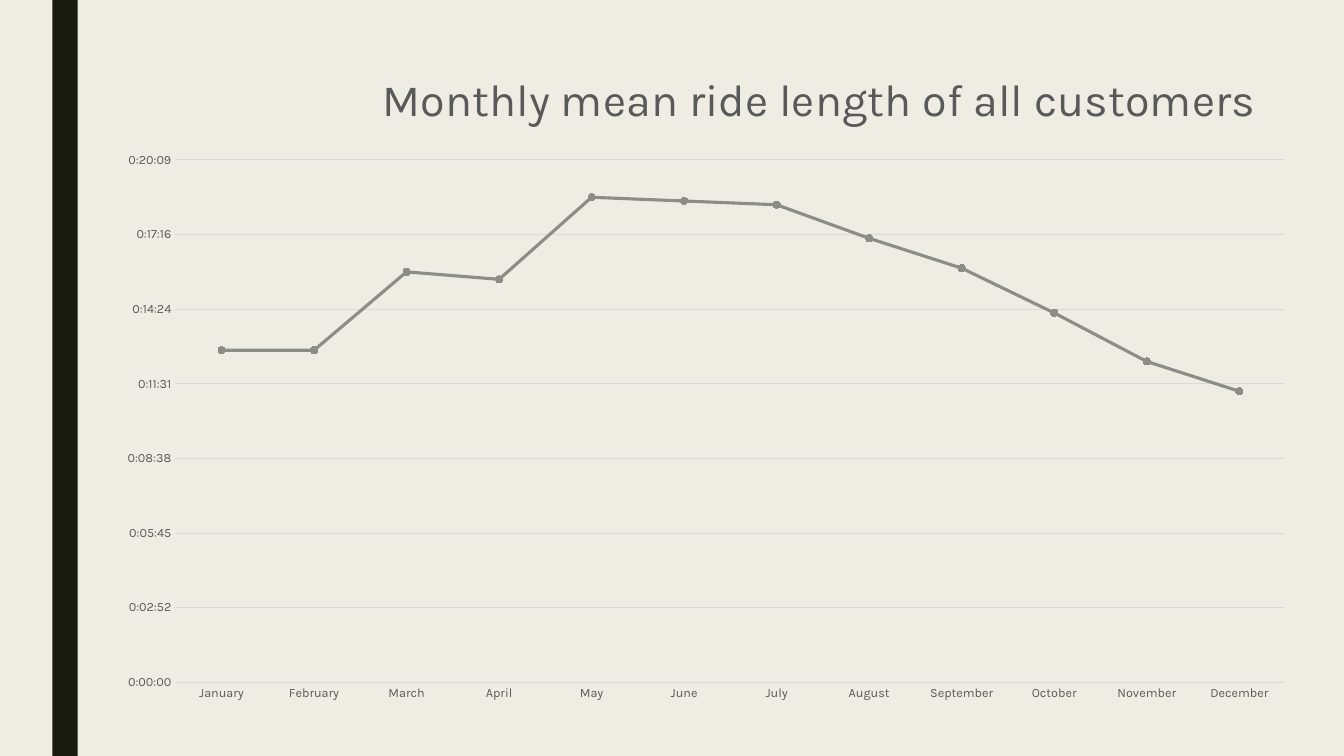
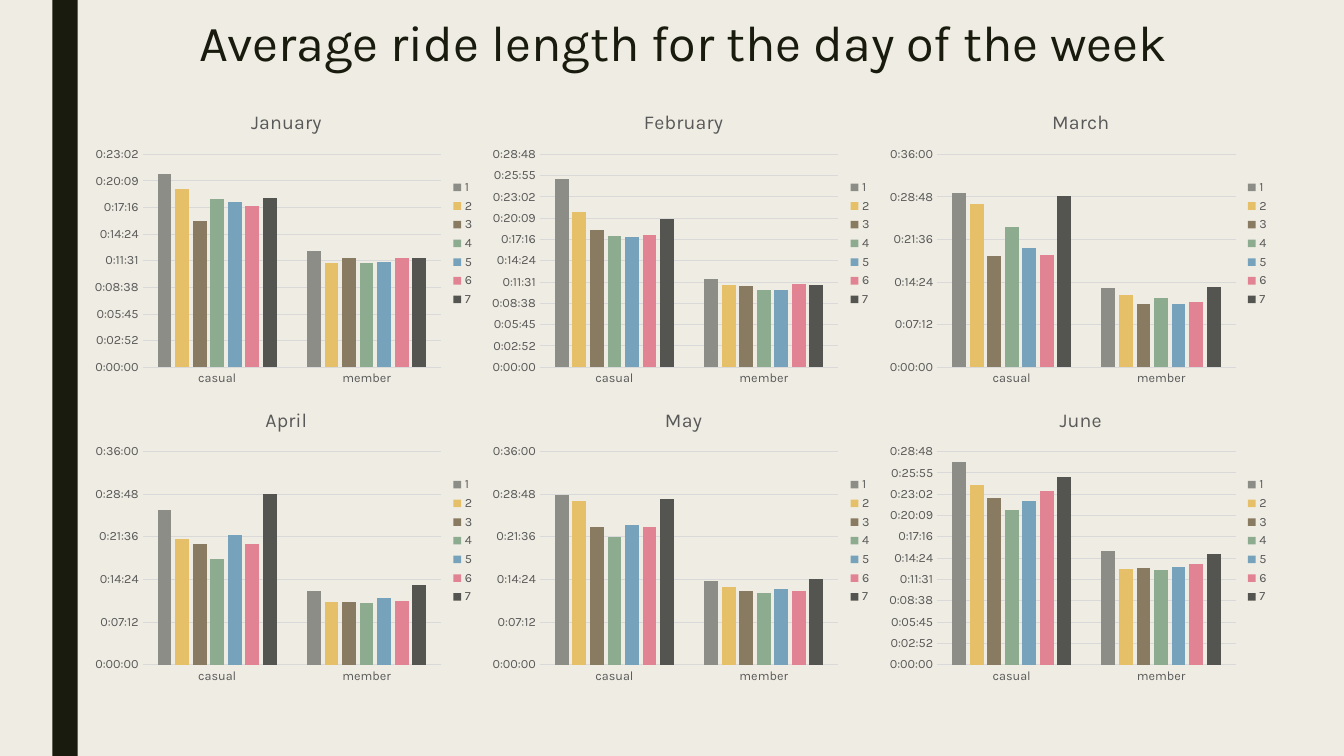
import lxml.etree
import pptx
import pptx.chart.data
import pptx.dml.color
import pptx.enum.chart
import pptx.enum.shapes
import pptx.enum.text
import pptx.oxml.ns
import pptx.util

Inches = pptx.util.Inches
Pt = pptx.util.Pt
qn = pptx.oxml.ns.qn
ChartType = pptx.enum.chart.XL_CHART_TYPE
TickMark = pptx.enum.chart.XL_TICK_MARK

FONT = "Karla"
PAPER = "EFEDE3"
INK = "191B0E"
LABEL = "595959"
GRID = "D9D9D9"
DAY_COLOURS = ["8C8D86", "E6C069", "897B61", "8DAB8E", "77A2BB", "E28394", "545550"]

AXIS_LABELS = {"name": FONT, "size": Pt(9)}
MONTH_TITLE = {"name": FONT, "size": Pt(14), "bold": False}
YEAR_TITLE = {"name": FONT, "size": Pt(32), "bold": False}
SLIDE_TITLE = {"name": FONT, "size": Pt(36), "bold": False}
TITLE_FRAME = {
    "word_wrap": True,
    "auto_size": pptx.enum.text.MSO_AUTO_SIZE.NONE,
    "vertical_anchor": pptx.enum.text.MSO_ANCHOR.TOP,
}
TITLE_PARAGRAPH = {"alignment": pptx.enum.text.PP_ALIGN.CENTER, "line_spacing": 0.89}
CATEGORY_AXIS = {"major_tick_mark": TickMark.NONE, "minor_tick_mark": TickMark.NONE}
VALUE_AXIS = CATEGORY_AXIS | {"minimum_scale": 0, "has_major_gridlines": True}
COLUMN_PLOT = {"gap_width": 219, "overlap": -27, "vary_by_categories": False}

YEAR_MONTHS = ["January", "February", "March", "April", "May", "June", "July",
               "August", "September", "October", "November", "December"]
YEAR_MEANS = [0.0089, 0.0089, 0.011, 0.0108, 0.013, 0.0129,
              0.0128, 0.0119, 0.0111, 0.0099, 0.0086, 0.0078]

RIDERS = ["casual", "member"]
MONTHS = [
    ("January", 0.016, 0.002,
     [0.0145, 0.0134, 0.011, 0.0126, 0.0124, 0.0121, 0.0127],
     [0.0087, 0.0078, 0.0082, 0.0078, 0.0079, 0.0082, 0.0082]),
    ("February", 0.02, 0.002,
     [0.0177, 0.0146, 0.0129, 0.0123, 0.0122, 0.0124, 0.0139],
     [0.0083, 0.0077, 0.0076, 0.0073, 0.0073, 0.0078, 0.0077]),
    ("March", 0.025, 0.005,
     [0.0205, 0.0191, 0.0131, 0.0164, 0.014, 0.0132, 0.0201],
     [0.0093, 0.0085, 0.0074, 0.0081, 0.0074, 0.0076, 0.0094]),
    ("April", 0.025, 0.005,
     [0.0181, 0.0147, 0.0142, 0.0124, 0.0152, 0.0141, 0.02],
     [0.0086, 0.0074, 0.0074, 0.0072, 0.0078, 0.0075, 0.0093]),
    ("May", 0.025, 0.005,
     [0.0199, 0.0192, 0.0161, 0.015, 0.0164, 0.0161, 0.0194],
     [0.0098, 0.0091, 0.0086, 0.0084, 0.0089, 0.0086, 0.0101]),
    ("June", 0.02, 0.002,
     [0.019, 0.0169, 0.0156, 0.0145, 0.0154, 0.0163, 0.0176],
     [0.0107, 0.009, 0.0091, 0.0089, 0.0092, 0.0094, 0.0104]),
]


def apply_format(target, values):
    for attribute, value in values.items():
        setattr(target, attribute, value)


def rgb(hex_colour):
    return pptx.dml.color.RGBColor.from_string(hex_colour)


def format_font(font, values, colour):
    apply_format(font, values)
    font.color.rgb = rgb(colour)


def format_fill(fill, colour):
    fill.solid()
    fill.fore_color.rgb = rgb(colour)


def format_line(line, colour, weight):
    format_fill(line.fill, colour)
    line.width = Pt(weight)


def set_layout(parent, position, inner=False):
    layout = parent.find(qn("c:layout"))
    if layout is None:
        layout = lxml.etree.Element(qn("c:layout"))
        parent.insert(0, layout)
    manual = lxml.etree.SubElement(layout, qn("c:manualLayout"))
    settings = {"layoutTarget": "inner"} if inner else {}
    settings |= {"xMode": "edge", "yMode": "edge"}
    settings |= dict(zip("xywh", position))
    for tag, value in settings.items():
        lxml.etree.SubElement(manual, qn(f"c:{tag}")).set("val", str(value))


def add_ride_chart(slide, box, kind, categories, series, title, title_format,
                   maximum, step, plot_box):
    rides = pptx.chart.data.CategoryChartData(number_format="h:mm:ss;@")
    rides.categories = categories
    for name, values in series:
        rides.add_series(name, values)
    frame = slide.shapes.add_chart(kind, *map(Inches, box), rides)
    chart = frame.chart
    chart.has_legend = False
    format_font(chart.font, {"name": FONT, "size": Pt(10)}, "000000")

    chart.has_title = True
    heading = chart.chart_title.text_frame
    heading.text = title
    format_font(heading.paragraphs[0].runs[0].font, title_format, LABEL)

    months = chart.category_axis
    apply_format(months, CATEGORY_AXIS)
    format_line(months.format.line, GRID, 0.75)
    durations = chart.value_axis
    apply_format(durations, VALUE_AXIS | {"maximum_scale": maximum, "major_unit": step})
    durations.format.line.fill.background()
    format_line(durations.major_gridlines.format.line, GRID, 0.75)
    apply_format(durations.tick_labels,
                 {"number_format": "h:mm:ss;@", "number_format_is_linked": False})
    for axis in (months, durations):
        format_font(axis.tick_labels.font, AXIS_LABELS, LABEL)
    set_layout(chart.element.chart.plotArea, plot_box, inner=True)
    return chart


def add_year_chart(slide, box):
    chart = add_ride_chart(
        slide, box, ChartType.LINE_MARKERS_STACKED, YEAR_MONTHS,
        [("Series 1", YEAR_MEANS)], "Monthly mean ride length of all customers",
        YEAR_TITLE, 0.014, 0.002, (0.06, 0.175, 0.92, 0.777))
    set_layout(chart.chart_title.element, (0.225, 0.03))
    chart.plots[0].vary_by_categories = False
    means = chart.plots[0].series[0]
    means.smooth = False
    format_line(means.format.line, DAY_COLOURS[0], 2.25)
    apply_format(means.marker,
                 {"style": pptx.enum.chart.XL_MARKER_STYLE.CIRCLE, "size": 5})
    format_fill(means.marker.format.fill, DAY_COLOURS[0])
    format_line(means.marker.format.line, DAY_COLOURS[0], 0.75)


def add_month_chart(slide, box, month, maximum, step, casual, member):
    days = [(str(day), pair) for day, pair in enumerate(zip(casual, member), 1)]
    chart = add_ride_chart(
        slide, box, ChartType.COLUMN_CLUSTERED, RIDERS, days, month,
        MONTH_TITLE, maximum, step, (0.138, 0.2, 0.752, 0.717))
    apply_format(chart.plots[0], COLUMN_PLOT)
    for day, colour in zip(chart.plots[0].series, DAY_COLOURS):
        format_fill(day.format.fill, colour)
    chart.has_legend = True
    apply_format(chart.legend, {
        "position": pptx.enum.chart.XL_LEGEND_POSITION.RIGHT,
        "include_in_layout": False,
    })
    format_font(chart.legend.font, AXIS_LABELS, LABEL)


def add_month_grid(slide, box, columns=3, rows=2):
    left, top, width, height = box
    cell_width, cell_height = width / columns, height / rows
    for index, month in enumerate(MONTHS):
        row, column = divmod(index, columns)
        cell = (left + column * cell_width, top + row * cell_height,
                cell_width, cell_height)
        add_month_chart(slide, cell, *month)


def add_title(slide, box, text):
    title = slide.shapes.title
    apply_format(title, dict(zip(("left", "top", "width", "height"), map(Inches, box))))
    frame = title.text_frame
    frame.text = text
    apply_format(frame, TITLE_FRAME)
    paragraph = frame.paragraphs[0]
    apply_format(paragraph, TITLE_PARAGRAPH)
    format_font(paragraph.runs[0].font, SLIDE_TITLE, INK)


def style_master(master, slide, band_box):
    format_fill(master.background.fill, PAPER)
    band = slide.shapes.add_shape(
        pptx.enum.shapes.MSO_SHAPE.RECTANGLE, *map(Inches, band_box))
    band.shadow.inherit = False
    format_fill(band.fill, INK)
    band.line.fill.background()
    master.element.cSld.spTree.insert(2, band.element)


def main():
    deck = pptx.Presentation()
    apply_format(deck, {"slide_width": Inches(13.33), "slide_height": Inches(7.5)})
    year = deck.slides.add_slide(deck.slide_layouts.get_by_name("Blank"))
    style_master(deck.slide_master, year, (0.52, 0, 0.25, 7.5))
    add_year_chart(year, (1.02, 0.42, 11.97, 6.67))

    week = deck.slides.add_slide(deck.slide_layouts.get_by_name("Title Only"))
    add_month_grid(week, (0.87, 0.94, 11.82, 5.9))
    add_title(week, (1.53, 0.13, 10.5, 0.81),
              "Average ride length for the day of the week")
    deck.save("out.pptx")


if __name__ == "__main__":
    main()
